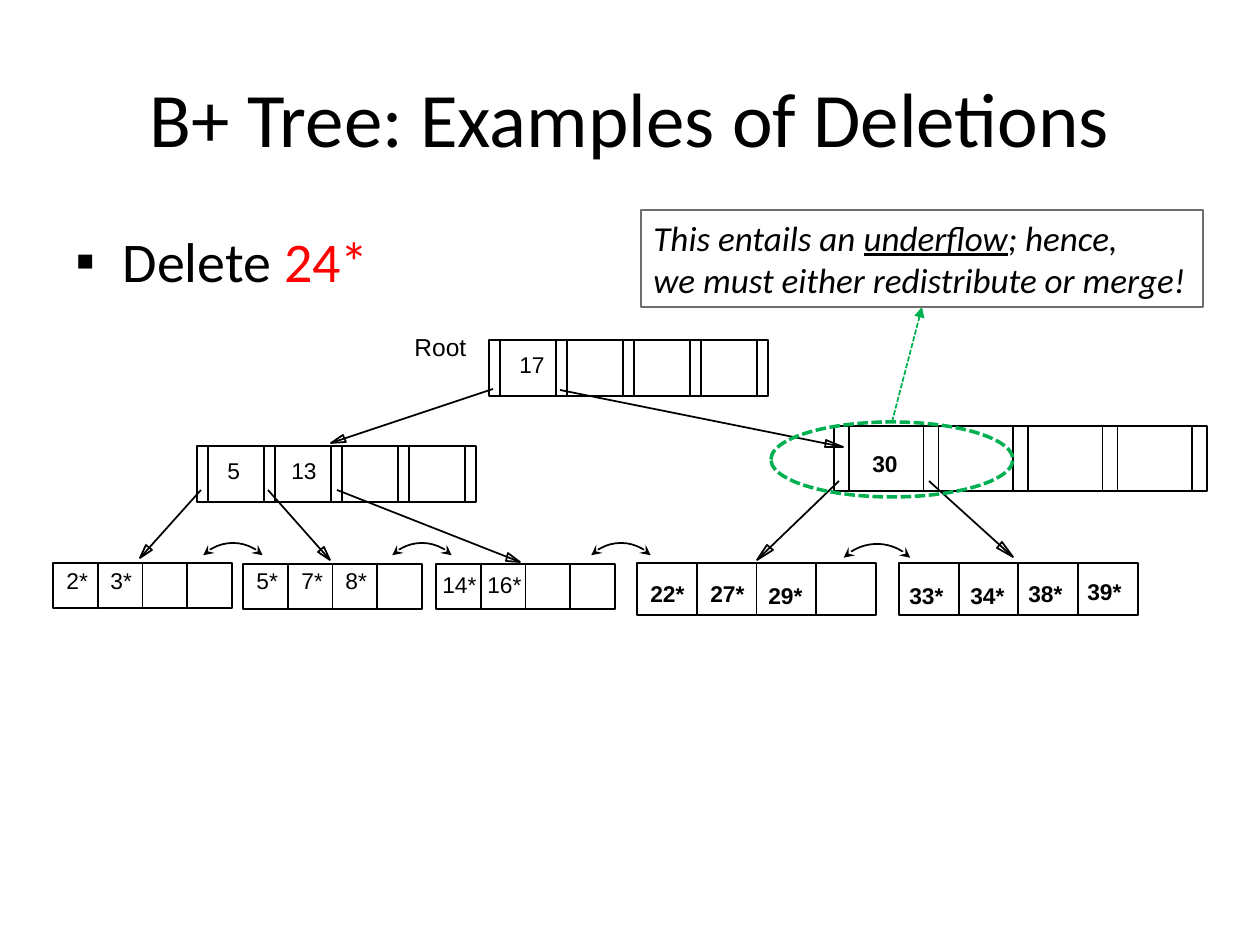
from math import hypot
from lxml.etree import SubElement
from pptx import Presentation
from pptx.dml.color import RGBColor
from pptx.enum.dml import MSO_LINE
from pptx.enum.shapes import MSO_CONNECTOR, MSO_SHAPE
from pptx.enum.text import MSO_ANCHOR, PP_ALIGN
from pptx.oxml.ns import qn
from pptx.util import Emu, Pt

BLACK = RGBColor(0, 0, 0)
RED = RGBColor(255, 0, 0)
GREEN = RGBColor(0, 176, 80)
GRAY = RGBColor(110, 110, 110)
SCALE = 914400 / 126
ARC_DEGREE = 60000 / 100000

deck = Presentation()
deck.slide_width, deck.slide_height = Emu(9144000), Emu(6858000)
page = deck.slides.add_slide(deck.slide_layouts[6])


def add_outline(kind, left, top, width, height, color=BLACK, weight=1):
    shape = page.shapes.add_shape(kind, *[Emu(round(v * SCALE)) for v in (left, top, width, height)])
    shape.shadow.inherit = False
    shape.fill.background()
    shape.line.color.rgb = color
    shape.line.width = Pt(weight)
    return shape


def add_line(start, end, color=BLACK):
    line = page.shapes.add_connector(
        MSO_CONNECTOR.STRAIGHT, *[Emu(round(v * SCALE)) for v in (*start, *end)])
    line.line.color.rgb = color
    line.line.width = Pt(1)
    SubElement(line._element.spPr, qn("a:effectLst"))
    return line


headings = [
    (38, 157, 44, PP_ALIGN.CENTER, MSO_ANCHOR.MIDDLE, [("B+ Tree: Examples of Deletions", BLACK)]),
    (220, 683, 32, PP_ALIGN.LEFT, MSO_ANCHOR.TOP, [("Delete ", BLACK), ("24*", RED)]),
]
for top, height, size, align, anchor, spans in headings:
    box = page.shapes.add_textbox(*[Emu(round(v * SCALE)) for v in (63, top, 1134, height)])
    box.text_frame.word_wrap = True
    box.text_frame.vertical_anchor = anchor
    para = box.text_frame.paragraphs[0]
    para.alignment = align
    para.font.name, para.font.size = "Calibri", Pt(size)
    for text, color in spans:
        span = para.add_run()
        span.text = text
        span.font.color.rgb = color

bullet = para._p.get_or_add_pPr()
bullet.set("marL", "342900")
bullet.set("indent", "-342900")
bullet_font = SubElement(bullet, qn("a:buFont"))
bullet_font.set("typeface", "Arial")
SubElement(bullet, qn("a:buChar")).set("char", "▪")
bullet.append(bullet.find(qn("a:defRPr")))

inner_nodes = [(489, 340, 268, 11, 56), (197, 446, 268, 11, 56), (834, 426, 358, 15, 65)]
for left, top, width, slot, height in inner_nodes:
    step = width / 4
    for index in range(4):
        cell_left = left + index * step
        add_outline(MSO_SHAPE.RECTANGLE, cell_left, top, step, height)
        add_line((cell_left + slot, top), (cell_left + slot, top + height))
    add_outline(MSO_SHAPE.RECTANGLE, left + width, top, slot, height)

leaves = [(53, 563, 179, 45), (243, 564, 179, 45), (436, 564, 179, 45),
          (637, 563, 239, 52), (899, 563, 239, 52)]
for left, top, width, height in leaves:
    for index in range(4):
        add_outline(MSO_SHAPE.RECTANGLE, left + index * width / 4, top, width / 4, height)

child_pointers = [
    ((493, 389), (331, 443), 14), ((560, 390), (843, 447), 18),
    ((201, 490), (140, 558), 14), ((268, 490), (330, 560), 14), ((337, 490), (520, 562), 14),
    ((839, 481), (757, 560), 18), ((929, 481), (1013, 557), 18),
]
for start, tip, head in child_pointers:
    add_line(start, tip)
    length = hypot(tip[0] - start[0], tip[1] - start[1])
    dx, dy = (tip[0] - start[0]) / length, (tip[1] - start[1]) / length
    base_x, base_y = tip[0] - head * dx, tip[1] - head * dy
    builder = page.shapes.build_freeform(base_x - 4 * dy, base_y + 4 * dx, scale=SCALE)
    builder.add_line_segments([tip, (base_x + 4 * dy, base_y - 4 * dx)], close=True)
    arrowhead = builder.convert_to_shape()
    arrowhead.shadow.inherit = False
    arrowhead.fill.background()
    arrowhead.line.color.rgb = BLACK
    arrowhead.line.width = Pt(1)

for center_x, center_y, radius in [(233, 585, 42), (422, 585, 42), (621, 585, 42), (877, 591, 47)]:
    sibling_link = add_outline(
        MSO_SHAPE.ARC, center_x - radius, center_y - radius, 2 * radius, 2 * radius)
    sibling_link.adjustments[0] = 225 * ARC_DEGREE
    sibling_link.adjustments[1] = 315 * ARC_DEGREE
    for end in ("a:headEnd", "a:tailEnd"):
        SubElement(sibling_link.line._get_or_add_ln(), qn(end)).set("type", "stealth")

labels = [
    ("Root", 402, 326, 14, False), ("17", 507, 345, 13, False),
    ("5", 215, 451, 13, False), ("13", 279, 451, 13, False), ("30", 860, 444, 13, True),
    ("2*", 54, 561, 13, False), ("3*", 98, 561, 13, False),
    ("5*", 244, 561, 13, False), ("7*", 289, 561, 13, False), ("8*", 333, 561, 13, False),
    ("14*", 430, 565, 13, False), ("16*", 475, 565, 13, False),
    ("22*", 638, 574, 13, True), ("27*", 698, 574, 13, True), ("29*", 756, 576, 13, True),
    ("33*", 897, 576, 13, True), ("34*", 958, 576, 13, True),
    ("38*", 1016, 574, 13, True), ("39*", 1075, 572, 13, True),
]
for text, left, top, size, bold in labels:
    width = 81 if text == "Root" else 25 + 13 * len(text) - 4 * text.count("*")
    box = page.shapes.add_textbox(*[Emu(round(v * SCALE)) for v in (left, top, width, 40)])
    box.text_frame.word_wrap = False
    para = box.text_frame.paragraphs[0]
    para.text = text
    para.font.name, para.font.size, para.font.bold = "Arial", Pt(size), bold
    para.font.color.rgb = BLACK

callout_pointer = add_line((892, 422), (922, 307), GREEN)
callout_pointer.line.dash_style = MSO_LINE.SQUARE_DOT
SubElement(callout_pointer.line._get_or_add_ln(), qn("a:tailEnd")).set("type", "triangle")

callout = add_outline(MSO_SHAPE.RECTANGLE, 641, 210, 562, 97, GRAY, 0.75)
frame = callout.text_frame
frame.word_wrap = False
frame.vertical_anchor = MSO_ANCHOR.TOP
callout_lines = [
    [("This entails an ", False), ("underflow", True), ("; hence, ", False)],
    [("we must either redistribute or merge!", False)],
]
for index, spans in enumerate(callout_lines):
    para = frame.add_paragraph() if index else frame.paragraphs[0]
    para.alignment = PP_ALIGN.LEFT
    para.font.name, para.font.size, para.font.italic = "Calibri", Pt(20), True
    for text, underlined in spans:
        span = para.add_run()
        span.text = text
        span.font.color.rgb = BLACK
        span.font.underline = underlined

underflow_ring = add_outline(MSO_SHAPE.OVAL, 771, 422, 242, 75, GREEN, 2)
underflow_ring.line.dash_style = MSO_LINE.SQUARE_DOT

deck.save("out.pptx")
